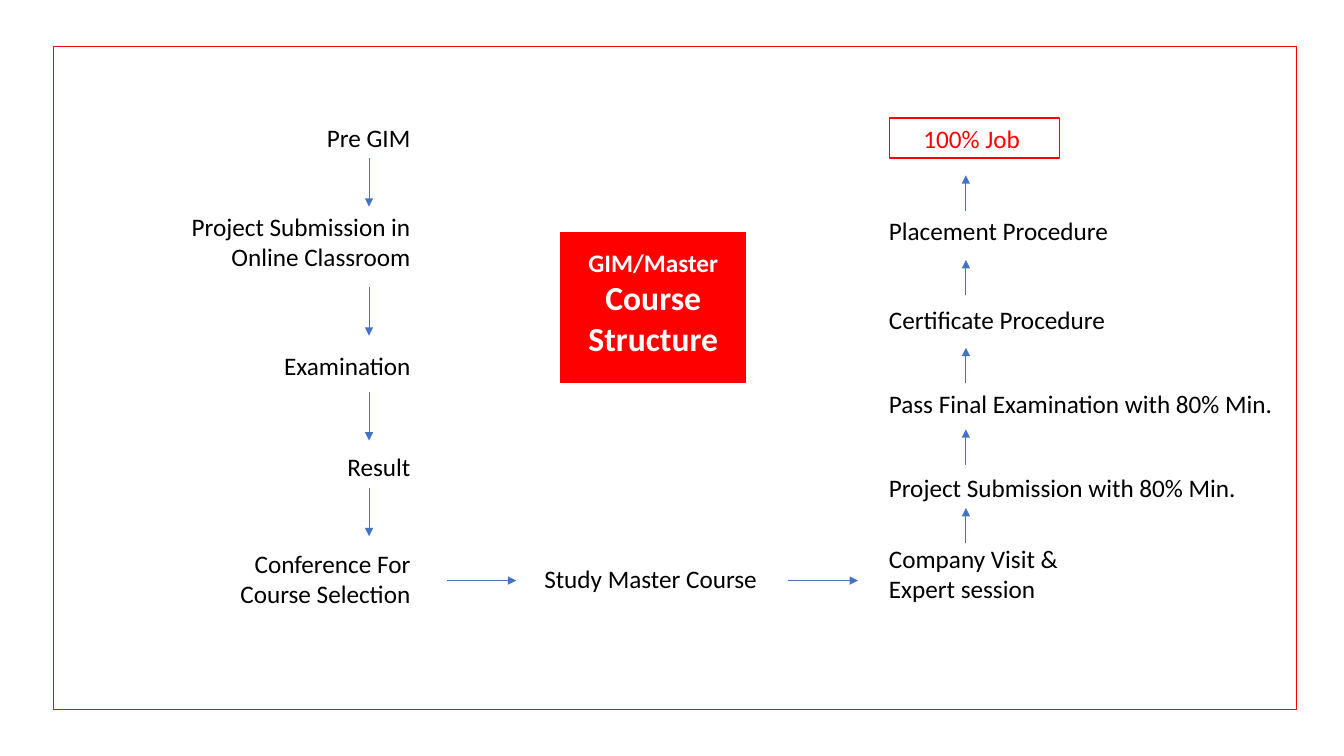
from lxml import etree
from pptx import Presentation
from pptx.dml.color import RGBColor
from pptx.enum.shapes import MSO_CONNECTOR, MSO_SHAPE
from pptx.enum.text import MSO_ANCHOR, PP_ALIGN
from pptx.oxml.ns import qn
from pptx.util import Inches, Pt

LEFT, CENTER, RIGHT = PP_ALIGN.LEFT, PP_ALIGN.CENTER, PP_ALIGN.RIGHT
RECTANGLE, STRAIGHT = MSO_SHAPE.RECTANGLE, MSO_CONNECTOR.STRAIGHT
RED, WHITE, BLACK, BLUE = "FF0000", "FFFFFF", "000000", "4472C4"
SLIDE_WIDTH, SLIDE_HEIGHT = Inches(13.33), Inches(7.5)

# Content; all lengths are percentages of the slide's width or height
# Steps: lines, top, width
PREPARATION = [
    (["Pre GIM"], 15.47, 7.85),
    (["Project Submission in", "Online Classroom"], 27.33, 17.93),
    (["Examination"], 45.73, 11.03),
    (["Result"], 59.07, 6.25),
    (["Conference For", "Course Selection"], 71.87, 14.33),
]
COMPLETION = [
    (["Company Visit &", "Expert session"], 71.2, 14.25),
    (["Project Submission with 80% Min."], 61.87, 29.93),
    (["Pass Final Examination with 80% Min."], 50.67, 31.88),
    (["Certificate Procedure"], 39.6, 17.78),
    (["Placement Procedure"], 27.87, 18),
]
STUDY = ["Study Master Course"]
GOAL = ["100% Job "]
TITLE = ["GIM/Master", "Course", "Structure"]

# Layout
PREPARATION_EDGE, COMPLETION_EDGE = 31.28, 65.4
LINE_HEIGHT, ROW_PADDING = 4.13, 1.2
DOWN_X, DOWN_LENGTH, DOWN_STARTS = 27.46, 6.4, [20.93, 38, 51.87, 64.53]
ACROSS_Y, ACROSS_LENGTH, ACROSS_STARTS = 76.8, 5.18, [33.23, 58.66]
UP_X, UP_LENGTH, UP_STARTS = 71.87, 4.67, [71.87, 61.47, 50.67, 39.07, 27.87]


def color(hex_value):
    return RGBColor.from_string(hex_value)


def across(share):
    return round(SLIDE_WIDTH * share / 100)


def down(share):
    return round(SLIDE_HEIGHT * share / 100)


def place(left, top, width, height):
    return across(left), down(top), across(width), down(height)


def write(box, lines, align=LEFT, sizes=(18,), ink=BLACK, bold=False,
          anchor=MSO_ANCHOR.TOP):
    frame = box.text_frame
    frame.word_wrap = True
    frame.vertical_anchor = anchor
    for index, line in enumerate(lines):
        para = frame.paragraphs[0] if index == 0 else frame.add_paragraph()
        para.alignment = align
        span = para.add_run()
        span.text = line
        span.font.name = "Calibri"
        span.font.size = Pt(sizes[min(index, len(sizes) - 1)])
        span.font.bold = bold
        span.font.color.rgb = color(ink)


def add_label(lines, left, top, width, **style):
    height = ROW_PADDING + LINE_HEIGHT * len(lines)
    box = page.shapes.add_textbox(*place(left, top, width, height))
    write(box, lines, **style)


def add_box(left, top, width, height, line, fill=None):
    box = page.shapes.add_shape(RECTANGLE, *place(left, top, width, height))
    box.shadow.inherit = False
    box.line.color.rgb = color(line)
    box.line.width = Pt(1)
    if fill:
        box.fill.solid()
        box.fill.fore_color.rgb = color(fill)
    else:
        box.fill.background()
    return box


def add_arrow(x, y, run=0, rise=0):
    arrow = page.shapes.add_connector(
        STRAIGHT, across(x), down(y), across(x + run), down(y + rise))
    arrow.line.color.rgb = color(BLUE)
    arrow.line.width = Pt(0.75)
    etree.SubElement(arrow.line._get_or_add_ln(), qn("a:tailEnd"), type="triangle")
    etree.SubElement(arrow._element.spPr, qn("a:effectLst"))


deck = Presentation()
deck.slide_width, deck.slide_height = SLIDE_WIDTH, SLIDE_HEIGHT
page = deck.slides.add_slide(deck.slide_layouts[6])

# Frame
add_box(3.98, 6.13, 92.5, 87.73, RED)

# Steps down the left, across the bottom and up the right
for lines, top, width in PREPARATION:
    add_label(lines, PREPARATION_EDGE - width, top, width, align=RIGHT)
add_label(STUDY, 39.76, 73.87, 17.48)
for lines, top, width in COMPLETION:
    add_label(lines, COMPLETION_EDGE, top, width)

# Goal
goal = add_box(66.17, 15.6, 12.68, 5.33, RED, WHITE)
write(goal, GOAL, align=CENTER, ink=RED, anchor=MSO_ANCHOR.MIDDLE)

# Title block
add_box(41.64, 30.53, 13.95, 20.27, WHITE, RED)
add_label(TITLE, 42.96, 32, 11.3, align=CENTER, sizes=(18, 24), ink=WHITE, bold=True)

# Arrows
for start in DOWN_STARTS:
    add_arrow(DOWN_X, start, rise=DOWN_LENGTH)
for start in ACROSS_STARTS:
    add_arrow(start, ACROSS_Y, run=ACROSS_LENGTH)
for start in UP_STARTS:
    add_arrow(UP_X, start, rise=-UP_LENGTH)

deck.save("out.pptx")
